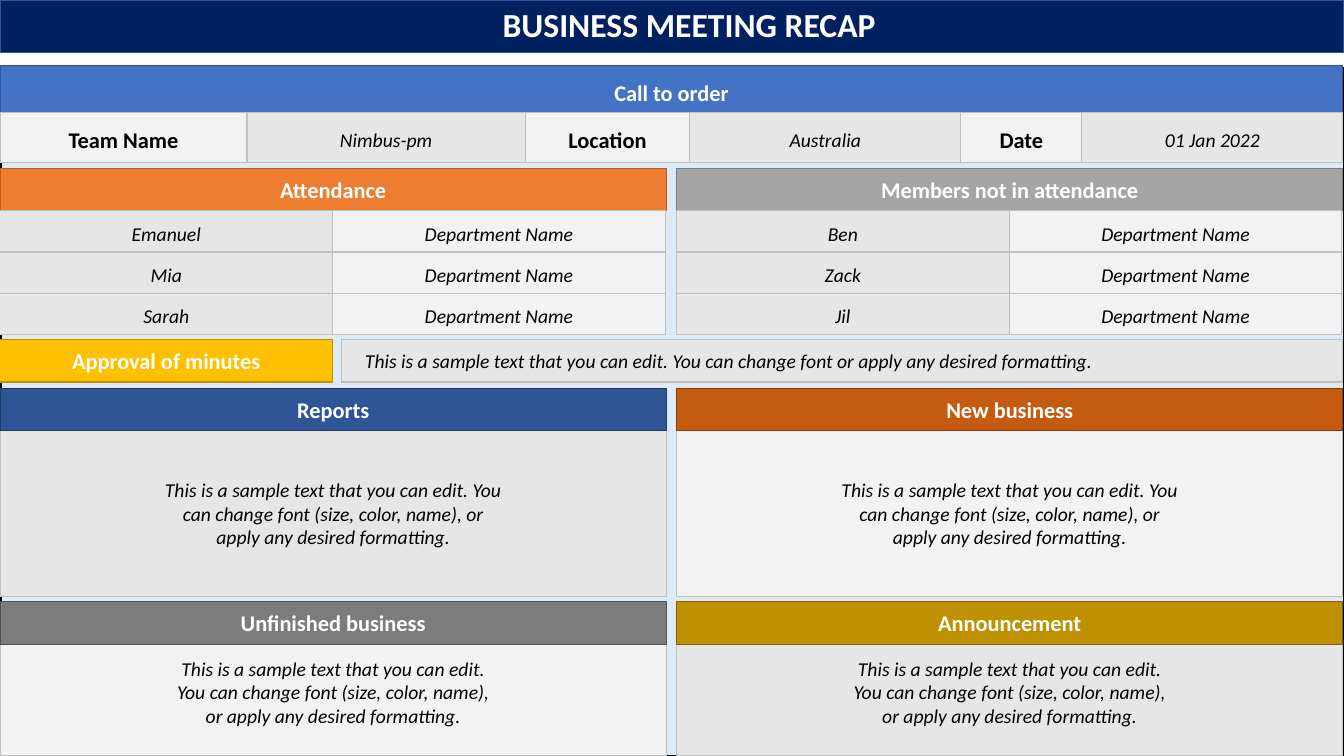
from pptx import Presentation
from pptx.dml.color import RGBColor
from pptx.enum.shapes import MSO_SHAPE
from pptx.enum.text import MSO_ANCHOR, MSO_AUTO_SIZE, PP_ALIGN
from pptx.util import Inches, Pt

RECT = MSO_SHAPE.RECTANGLE
MIDDLE = MSO_ANCHOR.MIDDLE
NO_FIT = MSO_AUTO_SIZE.NONE
LEFT, CENTER = PP_ALIGN.LEFT, PP_ALIGN.CENTER

COLORS = {
    "white": "FFFFFF", "black": "000000", "panel": "DEEBF7",
    "navy": "002060", "navy_line": "325491",
    "blue": "4472C4", "dark_blue": "2F5597", "deep_blue": "203864",
    "orange": "ED7D31", "rust": "C55A11", "brown": "843C0B",
    "gray": "A5A5A5", "dark_gray": "7C7C7C", "charcoal": "525252",
    "yellow": "FFC000", "gold": "BF9000", "olive": "806000",
    "pale": "F2F2F2", "light": "E7E6E6", "cell_line": "BFBFBF",
}
SAMPLE = ("This is a sample text that you can edit. You can change font "
          "(size, color, name), or apply any desired formatting.")
APPROVAL = ("This is a sample text that you can edit. You can change font "
            "or apply any desired formatting.")
COLUMNS = (0, 6.71)
COLUMN_W, HALF_W = 6.61, 3.3
HEAD_H, ROW_H = 0.42, 0.41


class RecapSlide:
    """Hold the style and the current slide, and draw its elements."""

    def __init__(self, prs):
        self.font = "Calibri"
        self.slide = prs.slides.add_slide(prs.slide_layouts[5])

    def color(self, name):
        return RGBColor.from_string(COLORS[name])

    def paint(self, sp, fill, line, width):
        sp.fill.solid()
        sp.fill.fore_color.rgb = self.color(fill)
        sp.line.color.rgb = self.color(line)
        sp.line.width = Pt(width)

    def set_text(self, sp, text, size, color, bold=False, italic=False,
                 inset=(0, 0), shift=0, align=CENTER):
        tf = sp.text_frame
        tf.text = text
        tf.word_wrap = True
        tf.auto_size = NO_FIT
        tf.vertical_anchor = MIDDLE
        tf.margin_left, tf.margin_right = map(Inches, inset)
        tf.margin_top = Inches(max(0, 2 * shift))
        tf.margin_bottom = Inches(max(0, -2 * shift))
        p = tf.paragraphs[0]
        p.alignment = align
        font = p.runs[0].font
        font.name, font.size = self.font, Pt(size)
        font.bold, font.italic = bold, italic
        font.color.rgb = self.color(color)

    def title(self, text):
        sp = self.slide.shapes.title
        sp.left, sp.top = Inches(0), Inches(0)
        sp.width, sp.height = Inches(13.33), Inches(0.52)
        self.paint(sp, "navy", "navy_line", 1)
        self.set_text(sp, text, 24, "white", bold=True, inset=(0.34, 0), shift=-0.02)

    def box(self, x, y, w, h, fill, line="cell_line", width=0.75):
        sp = self.slide.shapes.add_shape(RECT, Inches(x), Inches(y), Inches(w), Inches(h))
        sp.shadow.inherit = False
        self.paint(sp, fill, line, width)
        return sp

    def header(self, x, y, w, text, fill, line, h=HEAD_H, shift=0):
        sp = self.box(x, y, w, h, fill, line)
        self.set_text(sp, text, 16, "white", bold=True, shift=shift)

    def label(self, x, y, w, h, text):
        sp = self.box(x, y, w, h, "pale")
        self.set_text(sp, text, 16, "black", bold=True, shift=0.02)

    def entry(self, x, y, w, h, text, fill, **layout):
        sp = self.box(x, y, w, h, fill)
        self.set_text(sp, text, 14, "black", italic=True, **layout)


def main():
    prs = Presentation()
    prs.slide_width, prs.slide_height = Inches(13.33), Inches(7.5)
    s = RecapSlide(prs)
    s.title("BUSINESS MEETING RECAP")
    s.box(0.01, 0.67, 13.32, 6.83, "panel", "black", 1)

    s.header(0, 0.65, 13.32, "Call to order", "blue", "dark_blue", h=0.47, shift=0.03)
    edges = (0, 2.45, 5.21, 6.84, 9.53, 10.73, 13.32)
    details = (("Team Name", "Nimbus-pm"), ("Location", "Australia"), ("Date", "01 Jan 2022"))
    for i, (name, value) in enumerate(details):
        start, middle, end = edges[2 * i:2 * i + 3]
        s.label(start, 1.12, middle - start, 0.49, name)
        s.entry(middle, 1.12, end - middle, 0.49, value, "light", shift=0.02)

    attendance = (
        ("Attendance", "orange", "rust", ("Emanuel", "Mia", "Sarah")),
        ("Members not in attendance", "gray", "dark_gray", ("Ben", "Zack", "Jil")),
    )
    for x, (heading, fill, line, people) in zip(COLUMNS, attendance):
        s.header(x, 1.67, COLUMN_W, heading, fill, line)
        for row, person in enumerate(people):
            y = 2.09 + row * ROW_H
            s.entry(x, y, HALF_W, ROW_H, person, "light", shift=0.02)
            s.entry(x + HALF_W, y, HALF_W, ROW_H, "Department Name", "pale", shift=0.02)

    s.header(0, 3.37, HALF_W, "Approval of minutes", "yellow", "gold")
    s.entry(3.39, 3.37, 9.93, HEAD_H, APPROVAL, "light", inset=(0.23, 0), align=LEFT)

    sections = (
        (3.85, 1.65, 1.6, 0, (("Reports", "dark_blue", "deep_blue", "light"),
                              ("New business", "rust", "brown", "pale"))),
        (5.97, 1.11, 1.67, -0.08, (("Unfinished business", "dark_gray", "charcoal", "pale"),
                                   ("Announcement", "gold", "olive", "light"))),
    )
    for y, h, inset, shift, topics in sections:
        for x, (heading, fill, line, body) in zip(COLUMNS, topics):
            s.entry(x, y + HEAD_H, COLUMN_W, h, SAMPLE, body, inset=(inset, inset), shift=shift)
            s.header(x, y, COLUMN_W, heading, fill, line)

    prs.save("out.pptx")


if __name__ == "__main__":
    main()
